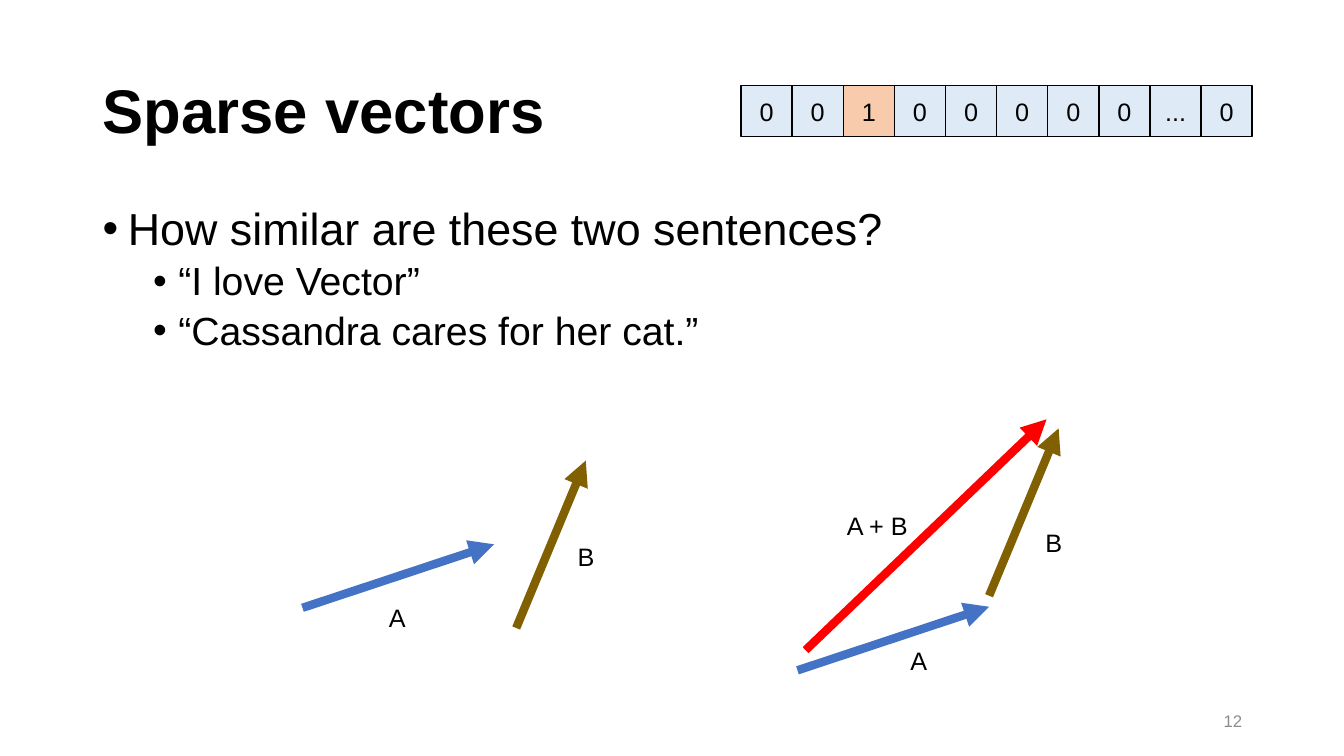
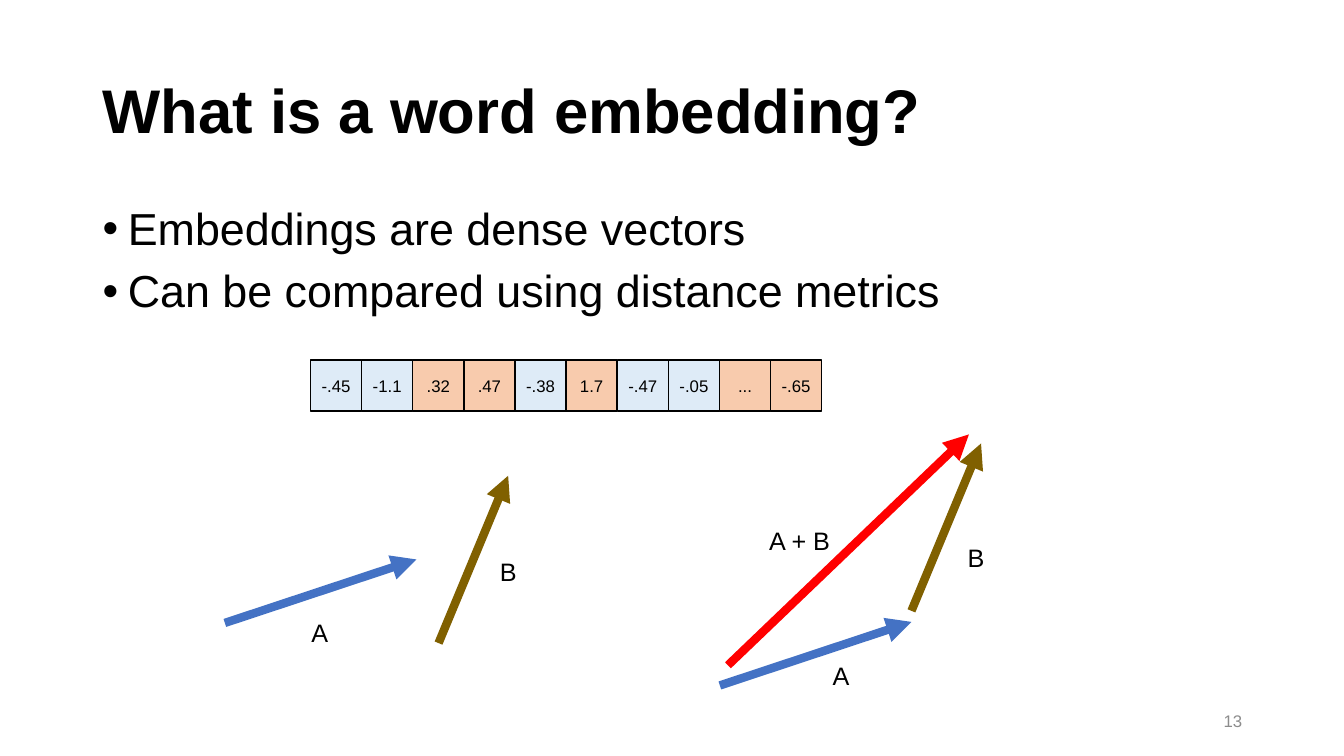
"""Build two slides on sparse vectors and word embeddings."""
from lxml import etree
from pptx import Presentation
from pptx.dml.color import RGBColor
from pptx.enum.shapes import MSO_CONNECTOR, MSO_SHAPE
from pptx.enum.text import MSO_ANCHOR, MSO_AUTO_SIZE, PP_ALIGN
from pptx.oxml.ns import qn
from pptx.util import Inches, Pt

STRAIGHT, SQUARE = MSO_CONNECTOR.STRAIGHT, MSO_SHAPE.RECTANGLE
MIDDLE, TOP, NO_FIT = MSO_ANCHOR.MIDDLE, MSO_ANCHOR.TOP, MSO_AUTO_SIZE.NONE
LEFT, CENTER, RIGHT = PP_ALIGN.LEFT, PP_ALIGN.CENTER, PP_ALIGN.RIGHT

FONT = "Arial"
COLORS = {"text": "000000", "number": "8C8C8C", "pale": "DEEBF7", "warm": "F8CBAD",
          "A": "4472C4", "B": "806000", "A + B": "FF0000"}
MARGIN, CONTENT_WIDTH = 0.92, 11.5
ROW_WIDTH, CELL_COUNT = 5.07, 10
CELL = ROW_WIDTH / CELL_COUNT
BULLETS = [{"size": 32, "indent": 0.25, "before": 10},
           {"size": 28, "indent": 0.75, "before": 5}]
HANGING = 0.25

VECTORS = {"A": (1.9, -0.63), "B": (0.69, -1.66), "A + B": (2.39, -2.29)}
ARROWS = [("A", 0, 0), ("B", 2.12, 0.2), ("A", 4.91, 0.62), ("B", 6.81, -0.12),
          ("A + B", 4.99, 0.42)]
LABELS = [("A", 0.76, -0.1), ("B", 2.63, -0.71), ("A + B", 5.3, -1.02),
          ("A", 5.93, 0.32), ("B", 7.27, -0.85)]

SLIDES = [
    {"title": "Sparse vectors", "number": "12",
     "bullets": [(0, "How similar are these two sentences?"),
                 (1, "“I love Vector”"),
                 (1, "“Cassandra cares for her cat.”")],
     "row": (7.35, 0.85), "cell_size": 18, "warm": {2},
     "values": ["0", "0", "1", "0", "0", "0", "0", "0", "...", "0"],
     "origin": (3, 6.03)},
    {"title": "What is a word embedding?", "number": "13",
     "bullets": [(0, "Embeddings are dense vectors"),
                 (0, "Can be compared using distance metrics")],
     "row": (3.08, 3.57), "cell_size": 12, "warm": {2, 3, 5, 8, 9},
     "values": ["-.45", "-1.1", ".32", ".47", "-.38", "1.7", "-.47", "-.05", "...", "-.65"],
     "origin": (2.23, 6.18)},
]


def inches(*lengths):
    return [Inches(length) for length in lengths]


def write(shape, text, size, align=LEFT, anchor=MIDDLE, color="text", wrap=True):
    """Put one formatted paragraph into a shape and return it."""
    frame = shape.text_frame
    frame.text = text
    frame.auto_size, frame.word_wrap, frame.vertical_anchor = NO_FIT, wrap, anchor
    para = frame.paragraphs[0]
    para.alignment = align
    para.font.name, para.font.size = FONT, Pt(size)
    para.font.color.rgb = RGBColor.from_string(COLORS[color])
    return para


deck = Presentation()
deck.slide_width, deck.slide_height = inches(13.33, 7.5)
title_only = deck.slide_layouts[5]

for content in SLIDES:
    page = deck.slides.add_slide(title_only)
    shapes = page.shapes

    title = shapes.title
    title.left, title.top, title.width, title.height = inches(MARGIN, 0.4, CONTENT_WIDTH, 1.45)
    para = write(title, content["title"], 44)
    para.font.bold, para.line_spacing = True, 0.9

    body = shapes.add_textbox(*inches(MARGIN, 2, CONTENT_WIDTH, 4.76)).text_frame
    body.word_wrap = True
    for index, (level, text) in enumerate(content["bullets"]):
        style = BULLETS[level]
        para = body.paragraphs[0] if index == 0 else body.add_paragraph()
        para.text, para.level, para.line_spacing = text, level, 0.9
        if index:
            para.space_before = Pt(style["before"])
        properties = para._p.get_or_add_pPr()
        properties.set("marL", str(Inches(style["indent"])))
        properties.set("indent", str(-Inches(HANGING)))
        etree.SubElement(properties, qn("a:buFont")).set("typeface", FONT)
        etree.SubElement(properties, qn("a:buChar")).set("char", "•")
        para.font.name, para.font.size = FONT, Pt(style["size"])
        para.font.color.rgb = RGBColor.from_string(COLORS["text"])

    number = shapes.add_textbox(*inches(MARGIN + CONTENT_WIDTH - 3, 6.95, 3, 0.4))
    write(number, content["number"], 12, align=RIGHT, color="number")

    row_left, row_top = content["row"]
    for column, value in enumerate(content["values"]):
        cell = shapes.add_shape(SQUARE, *inches(row_left + column * CELL, row_top, CELL, CELL))
        cell.shadow.inherit = False
        cell.fill.solid()
        fill = "warm" if column in content["warm"] else "pale"
        cell.fill.fore_color.rgb = RGBColor.from_string(COLORS[fill])
        cell.line.color.rgb = RGBColor.from_string(COLORS["text"])
        cell.line.width = Pt(1)
        write(cell, value, content["cell_size"], align=CENTER, wrap=False)

    origin_x, origin_y = content["origin"]
    for name, across, down in ARROWS:
        start_x, start_y = origin_x + across, origin_y + down
        step_x, step_y = VECTORS[name]
        arrow = shapes.add_connector(
            STRAIGHT, *inches(start_x, start_y, start_x + step_x, start_y + step_y))
        arrow.line.color.rgb = RGBColor.from_string(COLORS[name])
        arrow.line.width = Pt(6)
        etree.SubElement(arrow.line._get_or_add_ln(), qn("a:tailEnd")).set("type", "triangle")
        etree.SubElement(arrow._element.spPr, qn("a:effectLst"))

    for name, across, down in LABELS:
        width = 0.81 if name == "A + B" else 0.37
        label = shapes.add_textbox(*inches(origin_x + across, origin_y + down, width, 0.4))
        write(label, name, 18, anchor=TOP, wrap=False)

deck.save("out.pptx")
